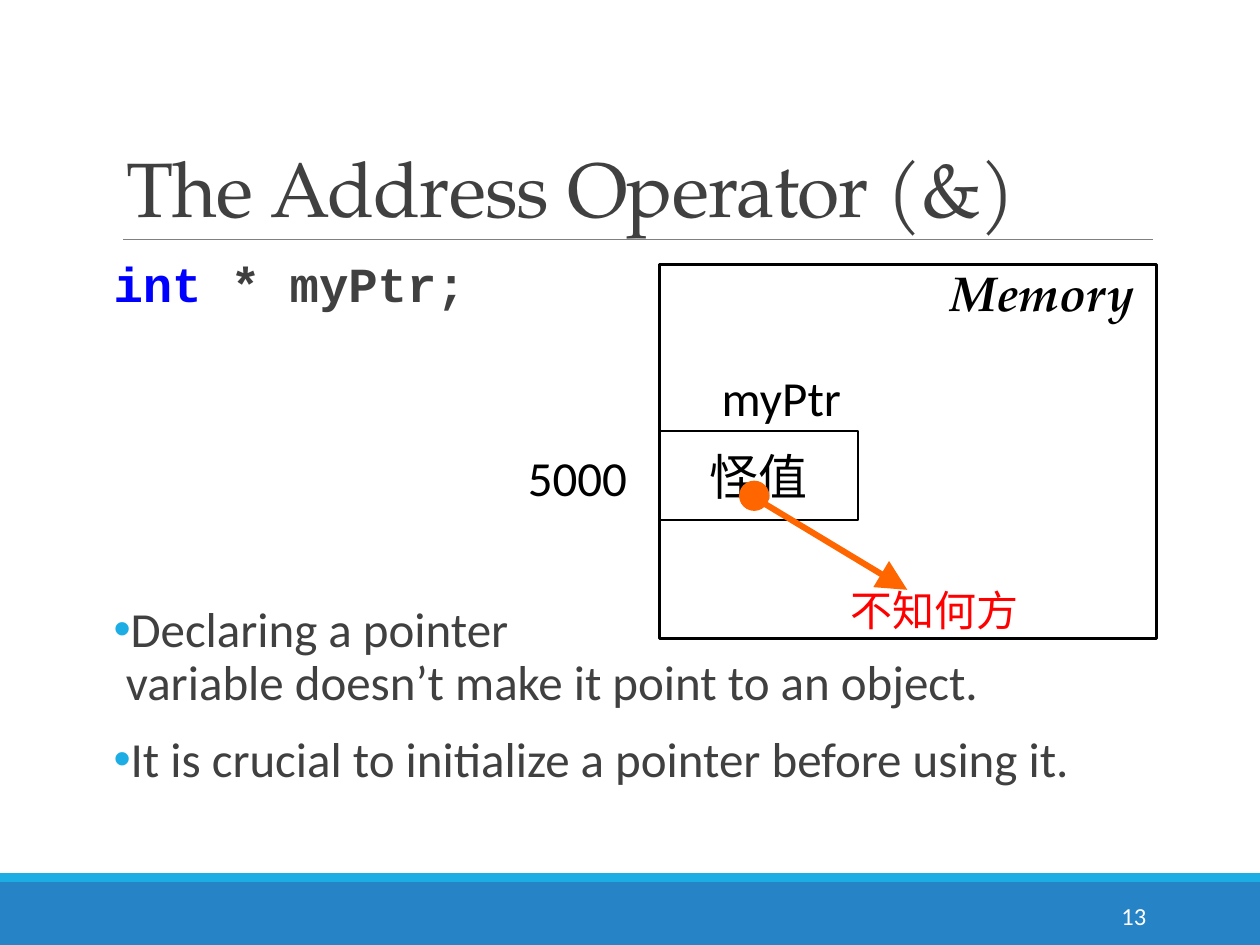
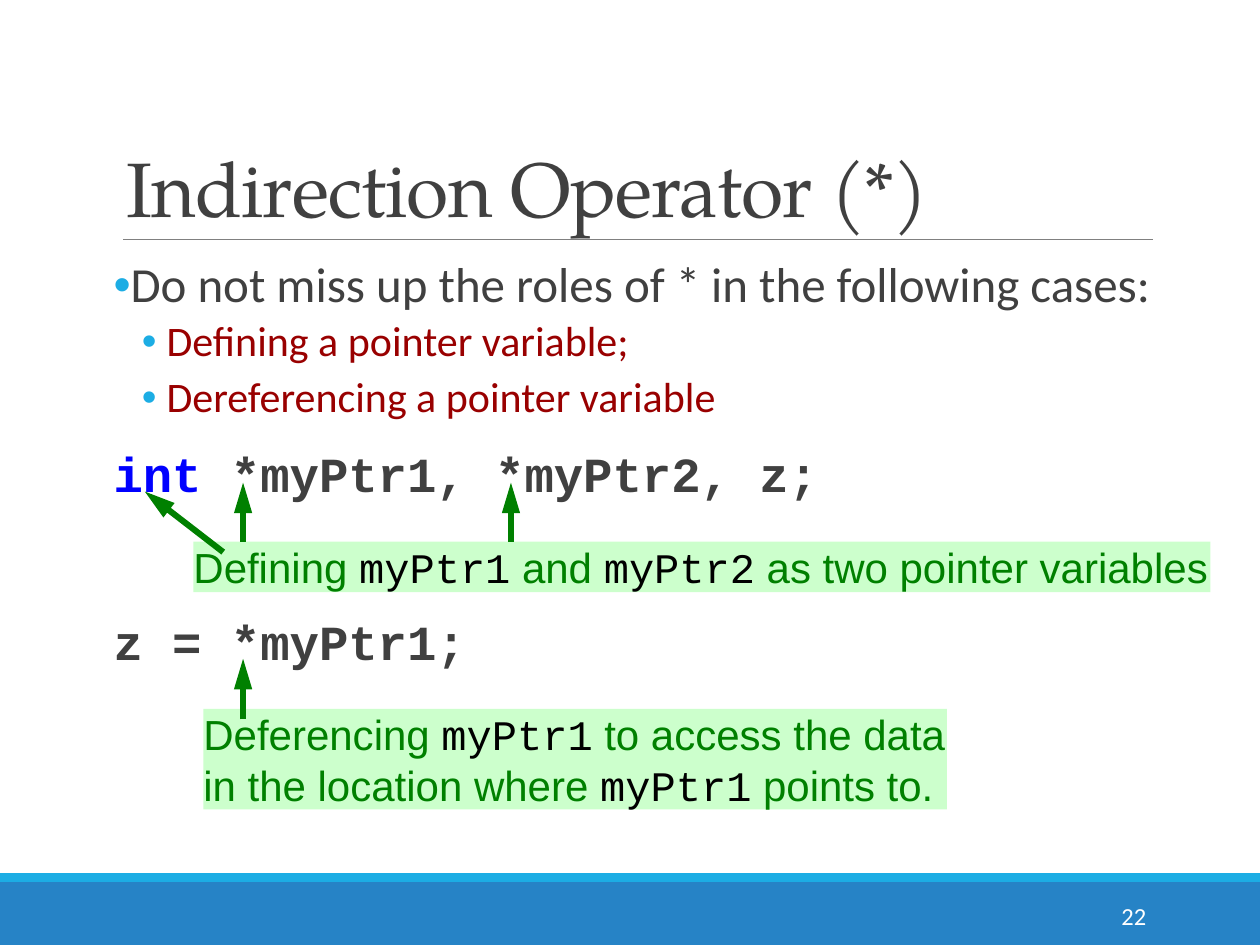
"""Build two slides on the address and indirection operators of pointers."""
from dataclasses import dataclass

from lxml import etree
from pptx import Presentation
from pptx import util as u
from pptx.dml.color import RGBColor
from pptx.enum import shapes, text
from pptx.oxml import ns


@dataclass(frozen=True)
class Theme:
    """Colours, fonts and type sizes of the deck."""
    band: str = "2683C6"
    accent: str = "1CADE4"
    rule: str = "808080"
    ink: str = "404040"
    black: str = "000000"
    white: str = "FFFFFF"
    keyword: str = "0000FF"
    case: str = "990000"
    warning: str = "FF0000"
    pointer: str = "FF6600"
    note: str = "008000"
    note_fill: str = "CCFFCC"
    serif: str = "TeX Gyre Pagella"
    sans: str = "Calibri"
    plain: str = "Arial"
    mono: str = "Courier New"
    title_size: int = 44
    large: int = 28
    medium: int = 24
    small: int = 14


THEME = Theme()

STYLES = {
    "title": (THEME.serif, THEME.title_size, THEME.ink, ""),
    "number": (THEME.sans, THEME.small, THEME.white, ""),
    "body": (THEME.sans, THEME.large, THEME.ink, ""),
    "case": (THEME.sans, THEME.medium, THEME.case, ""),
    "keyword": (THEME.mono, THEME.large, THEME.keyword, "b"),
    "code": (THEME.mono, THEME.large, THEME.ink, "b"),
    "memory": (THEME.serif, THEME.large, THEME.black, "bi"),
    "label": (THEME.sans, THEME.large, THEME.black, ""),
    "value": (THEME.plain, THEME.large, THEME.black, ""),
    "warning": (THEME.plain, THEME.medium, THEME.warning, ""),
    "note": (THEME.plain, THEME.medium, THEME.note, ""),
    "name": (THEME.mono, THEME.medium, THEME.black, ""),
}

LEVELS = {
    "code": dict(margin=0.25, indent=-0.25, after=2, bullet=False),
    "point": dict(margin=0.25, indent=-0.25, after=2, bullet=True),
    "case": dict(margin=1.07, indent=-0.5, after=4, bullet=True),
}

ADDRESS = {
    "title": "The Address Operator (&)",
    "number": "13",
    "body": [
        ("code", 12, [("int", "keyword"), (" * myPtr;", "code")]),
        ("point", 164.5, [("Declaring a pointer\nvariable doesn’t make it point to an object.", "body")]),
        ("point", 12, [("It is crucial to initialize a pointer before using it.", "body")]),
    ],
}

INDIRECTION = {
    "title": "Indirection Operator (*)",
    "number": "22",
    "body": [
        ("point", 12, [("Do not miss up the roles of * in the following cases:", "body")]),
        ("case", 2, [("Defining a pointer variable;", "case")]),
        ("case", 2, [("Dereferencing a pointer variable", "case")]),
        ("code", 12, [("int", "keyword"), (" *myPtr1, *myPtr2, z;", "code")]),
        ("code", 64, [("z = *myPtr1;", "code")]),
    ],
}

MEMORY = (13.3, 5.33, 10.01, 7.54)
CELL = (13.3, 8.69, 3.99, 1.8)
DOT = (14.9, 9.69, 0.61, 0.61)
POINTER_ARROW = (15.29, 10.08, 18.29, 11.89)
MEMORY_LABELS = [
    ("Memory", "memory", (18.92, 5.17, 4.45, 1.45)),
    ("5000", "label", (10.39, 8.89, 2.54, 1.45)),
    ("myPtr", "label", (14.3, 7.29, 2.95, 1.45)),
]
UNKNOWN = ("不知何方", "warning", (16.89, 11.66, 3.89, 1.27))

NOTES = [
    ((3.9, 10.92, 20.5, 1.02),
     [[("Defining ", "note"), ("myPtr1", "name"), (" and ", "note"),
       ("myPtr2", "name"), (" as two pointer variables", "note")]]),
    ((4.1, 14.29, 14.99, 2.03),
     [[("Deferencing ", "note"), ("myPtr1", "name"), (" to access the data", "note")],
      [("in the location where ", "note"), ("myPtr1", "name"), (" points to.", "note")]]),
]
NOTE_ARROWS = [
    (4.5, 11.13, 2.92, 9.91),
    (10.3, 10.92, 10.3, 9.73),
    (4.9, 10.92, 4.9, 9.73),
    (4.9, 14.5, 4.9, 13.28),
]


def lengths(values):
    """Turn centimetre numbers into lengths."""
    return [u.Cm(value) for value in values]


def colour(value):
    """Return the colour for a hex value."""
    return RGBColor.from_string(value)


def child(parent, tag, **attributes):
    """Append a drawing element to a parent."""
    return etree.SubElement(parent, ns.qn(tag), attributes)


def write(para, spans):
    """Add styled spans to a paragraph, breaking lines at newlines."""
    for words, style in spans:
        font, size, ink, emphasis = STYLES[style]
        for index, line in enumerate(words.split("\n")):
            if index:
                para.add_line_break()
            span = para.add_run()
            span.text = line
            span.font.name = font
            span.font.size = u.Pt(size)
            span.font.bold = "b" in emphasis
            span.font.italic = "i" in emphasis
            span.font.color.rgb = colour(ink)


def fill_frame(frame, paragraphs):
    """Write each list of spans as a paragraph and return the paragraphs."""
    paras = []
    for index, spans in enumerate(paragraphs):
        para = frame.add_paragraph() if index else frame.paragraphs[0]
        para.alignment = text.PP_ALIGN.LEFT
        write(para, spans)
        paras.append(para)
    return paras


def add_box(page, place, fill=None, line=None, kind=shapes.MSO_SHAPE.RECTANGLE):
    """Add a flat shape with an optional fill and black outline."""
    box = page.shapes.add_shape(kind, *lengths(place))
    box.shadow.inherit = False
    if fill:
        box.fill.solid()
        box.fill.fore_color.rgb = colour(fill)
    else:
        box.fill.background()
    if line:
        box.line.color.rgb = colour(THEME.black)
        box.line.width = u.Pt(line)
    else:
        box.line.fill.background()
    return box


def add_label(page, words, style, place):
    """Add a one-line label that does not wrap."""
    box = page.shapes.add_textbox(*lengths(place))
    box.text_frame.word_wrap = False
    fill_frame(box.text_frame, [[(words, style)]])


def add_line(page, ends, ink, width, head_width=None):
    """Add a straight line, with a long arrowhead if a head width is given."""
    line = page.shapes.add_connector(shapes.MSO_CONNECTOR.STRAIGHT, *lengths(ends))
    line.line.color.rgb = colour(ink)
    line.line.width = u.Pt(width)
    if head_width:
        stroke = line._element.spPr.find(ns.qn("a:ln"))
        child(stroke, "a:tailEnd", type="triangle", w=head_width, len="lg")
    child(line._element.spPr, "a:effectLst")


def add_body(page, items):
    """Add the main text with its levels, bullets and spacing."""
    frame = page.shapes.add_textbox(*lengths((2.29, 5.13, 20.96, 11.18))).text_frame
    frame.word_wrap = True
    frame.margin_left = frame.margin_right = 0
    paras = fill_frame(frame, [spans for _, _, spans in items])
    for para, (level, before, _) in zip(paras, items):
        rule = LEVELS[level]
        para.line_spacing = 0.9
        para.space_before = u.Pt(before)
        para.space_after = u.Pt(rule["after"])
        properties = para._p.get_or_add_pPr()
        properties.set("marL", str(u.Cm(rule["margin"])))
        properties.set("indent", str(u.Cm(rule["indent"])))
        if rule["bullet"]:
            child(child(properties, "a:buClr"), "a:srgbClr", val=THEME.accent)
            child(properties, "a:buFont", typeface=THEME.plain)
            child(properties, "a:buChar", char="•")


def add_page(deck, content):
    """Add a slide with bands, rule, number, title and main text."""
    page = deck.slides.add_slide(deck.slide_layouts[5])
    add_box(page, (0, 17.78, 25.4, 1.27), THEME.band)
    add_box(page, (0, 17.6, 25.4, 0.18), THEME.accent)
    add_line(page, (2.48, 4.83, 23.24, 4.83), THEME.rule, 0.5)
    number = page.shapes.add_textbox(*lengths((20.62, 17.95, 2.74, 1.02))).text_frame
    number.word_wrap = True
    number.vertical_anchor = text.MSO_ANCHOR.MIDDLE
    fill_frame(number, [[(content["number"], "number")]])[0].alignment = text.PP_ALIGN.RIGHT

    title = page.shapes.title
    title.left, title.top, title.width, title.height = lengths((2.29, 0.79, 20.96, 4.04))
    frame = title.text_frame
    frame.auto_size = text.MSO_AUTO_SIZE.NONE
    frame.vertical_anchor = text.MSO_ANCHOR.BOTTOM
    para = fill_frame(frame, [[(content["title"], "title")]])[0]
    para.line_spacing = 0.85
    para.runs[0].font._element.set("spc", "-50")
    add_body(page, content["body"])
    return page


def draw_memory(page):
    """Draw the memory area with a pointer that leads nowhere known."""
    memory = add_box(page, MEMORY, THEME.white, 1.5)
    tint = memory._element.spPr.find(ns.qn("a:solidFill")).find(ns.qn("a:srgbClr"))
    child(tint, "a:alpha", val="75000")
    cell = add_box(page, CELL, line=1.25)
    cell.text_frame.word_wrap = False
    cell.text_frame.vertical_anchor = text.MSO_ANCHOR.MIDDLE
    fill_frame(cell.text_frame, [[("怪值", "value")]])[0].alignment = text.PP_ALIGN.CENTER
    for label in MEMORY_LABELS:
        add_label(page, *label)
    add_box(page, DOT, THEME.pointer, kind=shapes.MSO_SHAPE.OVAL)
    add_line(page, POINTER_ARROW, THEME.pointer, 3.5, head_width="lg")
    add_label(page, *UNKNOWN)


def draw_notes(page):
    """Draw the green notes and the arrows to the code they explain."""
    for place, paragraphs in NOTES:
        frame = add_box(page, place, THEME.note_fill).text_frame
        frame.margin_left = frame.margin_right = frame.margin_top = frame.margin_bottom = 0
        frame.word_wrap = False
        frame.auto_size = text.MSO_AUTO_SIZE.SHAPE_TO_FIT_TEXT
        frame.vertical_anchor = text.MSO_ANCHOR.TOP
        fill_frame(frame, paragraphs)
    for ends in NOTE_ARROWS:
        add_line(page, ends, THEME.note, 3.5, head_width="med")


def main():
    """Build and save the deck."""
    deck = Presentation()
    deck.slide_width, deck.slide_height = lengths((25.4, 19.05))
    draw_memory(add_page(deck, ADDRESS))
    draw_notes(add_page(deck, INDIRECTION))
    deck.save("out.pptx")


if __name__ == "__main__":
    main()
